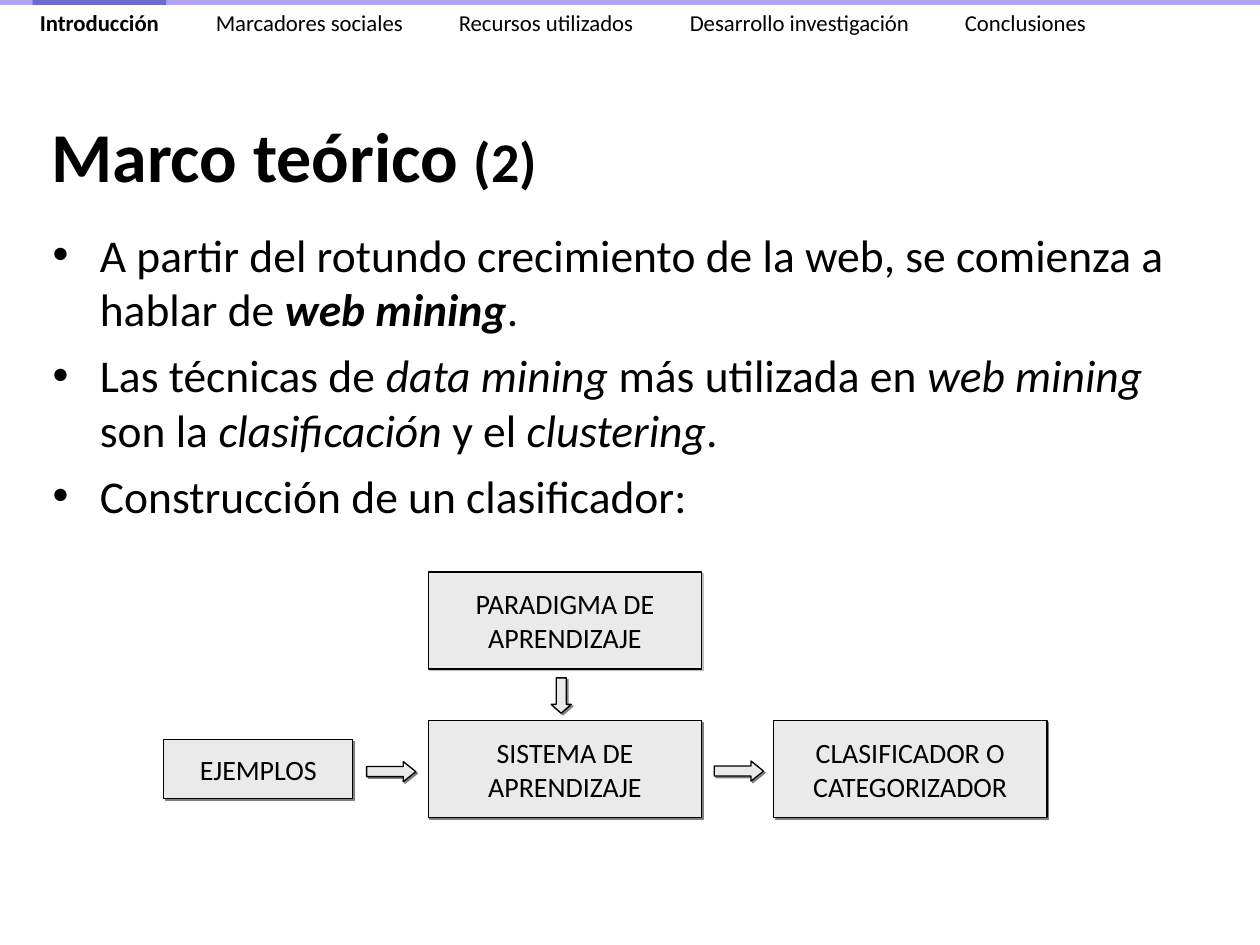
import pptx
import pptx.dml.color
import pptx.enum.shapes
import pptx.enum.text
import pptx.oxml.ns
import pptx.util
from dataclasses import dataclass
from lxml import etree

Pt = pptx.util.Pt
SHAPES = pptx.enum.shapes.MSO_SHAPE
ANCHOR = pptx.enum.text.MSO_ANCHOR
ALIGN = pptx.enum.text.PP_ALIGN
qn = pptx.oxml.ns.qn


@dataclass(frozen=True)
class Theme:
    font: str = "Calibri"
    ink: str = "000000"
    panel: str = "EAEAEA"
    shadow: str = "808080"
    strip: str = "B2A2F8"
    marker: str = "6B6BCF"
    nav_size: float = 13
    title_size: float = 40
    counter_size: float = 32
    body_size: float = 26
    box_size: float = 16


THEME = Theme()
SECTIONS = ["Introducción", "Marcadores sociales", "Recursos utilizados",
            "Desarrollo investigación", "Conclusiones"]
SECTION_TABS = [100.6, 239.4, 371.4, 528.6]
BOLD = {"bold": True}
ITALIC = {"italic": True}
POINTS = [
    [("A partir del rotundo crecimiento de la web, se comienza a hablar de ", {}),
     ("web mining", BOLD | ITALIC), (".", {})],
    [("Las técnicas de ", {}), ("data mining ", ITALIC),
     ("más utilizada en ", {}), ("web mining ", ITALIC), ("son la ", {}),
     ("clasificación ", ITALIC), ("y el ", {}), ("clustering", ITALIC), (".", {})],
    [("Construcción de un clasificador:", {})],
]
BOX_WIDTH, BOX_HEIGHT = 156.2, 55.4
ROW_TOP = 411.8
BOXES = [
    (["PARADIGMA DE", "APRENDIZAJE"], 244.8, 326.9, BOX_WIDTH, BOX_HEIGHT, 50),
    (["SISTEMA DE", "APRENDIZAJE"], 244.8, ROW_TOP, BOX_WIDTH, BOX_HEIGHT, 100),
    (["EJEMPLOS"], 93.6, 422.6, 108, 33.8, 100),
    (["CLASIFICADOR O", "CATEGORIZADOR"], 442.1, ROW_TOP, BOX_WIDTH, BOX_HEIGHT, 100),
]
ARROWS = [(209.5, 435.2, 28.1, 0, 0.62), (408.2, 434.9, 28.1, 0, 0.62),
          (310.6, 391.7, 20.2, 90, 0.44)]


def rgb(value):
    return pptx.dml.color.RGBColor.from_string(value)


def apply_format(target, values):
    for name, value in values.items():
        setattr(target, name, value)


def add_span(para, text, size, **values):
    span = para.add_run()
    span.text = text
    apply_format(span.font, {"name": THEME.font, "size": Pt(size)} | values)
    span.font.color.rgb = rgb(THEME.ink)


def add_text_box(parent, left, top, width, height, **values):
    box = parent.add_textbox(Pt(left), Pt(top), Pt(width), Pt(height))
    apply_format(box.text_frame, {"word_wrap": True} | values)
    return box.text_frame


def add_shape(parent, kind, left, top, width, height, fill):
    shape = parent.add_shape(kind, Pt(left), Pt(top), Pt(width), Pt(height))
    shape.fill.solid()
    shape.fill.fore_color.rgb = rgb(fill)
    shape.line.fill.background()
    shape.shadow.inherit = False
    return shape


def add_panel(parent, kind, left, top, width, height, opacity=100):
    shape = add_shape(parent, kind, left, top, width, height, THEME.panel)
    shape.line.color.rgb = rgb(THEME.ink)
    shape.line.width = Pt(0.75)
    effects = shape._element.spPr.find(qn("a:effectLst"))
    shadow = etree.SubElement(effects, qn("a:outerShdw"), blurRad="0",
                              dist=str(Pt(1.4)), dir="2700000", algn="ctr", rotWithShape="0")
    color = etree.SubElement(shadow, qn("a:srgbClr"), val=THEME.shadow)
    etree.SubElement(color, qn("a:alpha"), val=str(opacity * 1000))
    return shape


def add_bullet(para):
    settings = para._p.get_or_add_pPr()
    apply_indent = {"marL": Pt(27), "indent": Pt(-27)}
    for name, value in apply_indent.items():
        settings.set(name, str(value))
    color = etree.SubElement(settings, qn("a:buClr"))
    etree.SubElement(color, qn("a:srgbClr"), val=THEME.ink)
    etree.SubElement(settings, qn("a:buFont"), typeface="Arial")
    etree.SubElement(settings, qn("a:buChar"), char="•")


def add_title(page):
    frame = add_text_box(page.shapes, 22.3, 61.9, 691.9, 53.3,
                         vertical_anchor=ANCHOR.MIDDLE)
    para = frame.paragraphs[0]
    add_span(para, "Marco teórico ", THEME.title_size, bold=True)
    add_span(para, "(2)", THEME.counter_size, bold=True)


def add_points(page):
    frame = add_text_box(page.shapes, 23, 126, 674.6, 408.2)
    for index, spans in enumerate(POINTS):
        para = frame.add_paragraph() if index else frame.paragraphs[0]
        if index:
            para.space_before = Pt(6.5)
        add_bullet(para)
        for text, values in spans:
            add_span(para, text, THEME.body_size, **values)


def add_labelled_box(parent, lines, left, top, width, height, opacity):
    box = add_panel(parent, SHAPES.RECTANGLE, left, top, width, height, opacity)
    apply_format(box.text_frame, {"word_wrap": False, "vertical_anchor": ANCHOR.MIDDLE})
    para = box.text_frame.paragraphs[0]
    para.alignment = ALIGN.CENTER
    for index, line in enumerate(lines):
        if index:
            para.add_line_break()
            etree.SubElement(para._p[-1], qn("a:rPr"), sz=str(THEME.box_size * 100))
        add_span(para, line, THEME.box_size)


def add_arrow(parent, left, top, length, rotation, head):
    arrow = add_panel(parent, SHAPES.RIGHT_ARROW, left, top, length, 11.5)
    arrow.rotation = rotation
    arrow.adjustments[0] = 0.5
    arrow.adjustments[1] = head


def add_diagram(page):
    group = page.shapes.add_group_shape().shapes
    for box in BOXES:
        add_labelled_box(group, *box)
    for arrow in ARROWS:
        add_arrow(group, *arrow)


def add_navigation(page):
    group = page.shapes.add_group_shape().shapes
    add_shape(group, SHAPES.RECTANGLE, 0, 0, 720, 2.9, THEME.strip)
    frame = add_text_box(group, 7.2, 1.4, 703.4, 23, margin_left=Pt(15.6))
    para = frame.paragraphs[0]
    tabs = etree.SubElement(para._p.get_or_add_pPr(), qn("a:tabLst"))
    for position in SECTION_TABS:
        etree.SubElement(tabs, qn("a:tab"), pos=str(Pt(position)), algn="l")
    add_span(para, SECTIONS[0], THEME.nav_size, bold=True)
    for section in SECTIONS[1:]:
        add_span(para, "\t" + section, THEME.nav_size)
    add_shape(group, SHAPES.RECTANGLE, 18.7, 0, 76.3, 2.9, THEME.marker)


def main():
    deck = pptx.Presentation()
    apply_format(deck, {"slide_width": Pt(720), "slide_height": Pt(540)})
    page = deck.slides.add_slide(deck.slide_layouts[6])
    add_points(page)
    add_title(page)
    add_diagram(page)
    add_navigation(page)
    deck.save("out.pptx")


if __name__ == "__main__":
    main()
